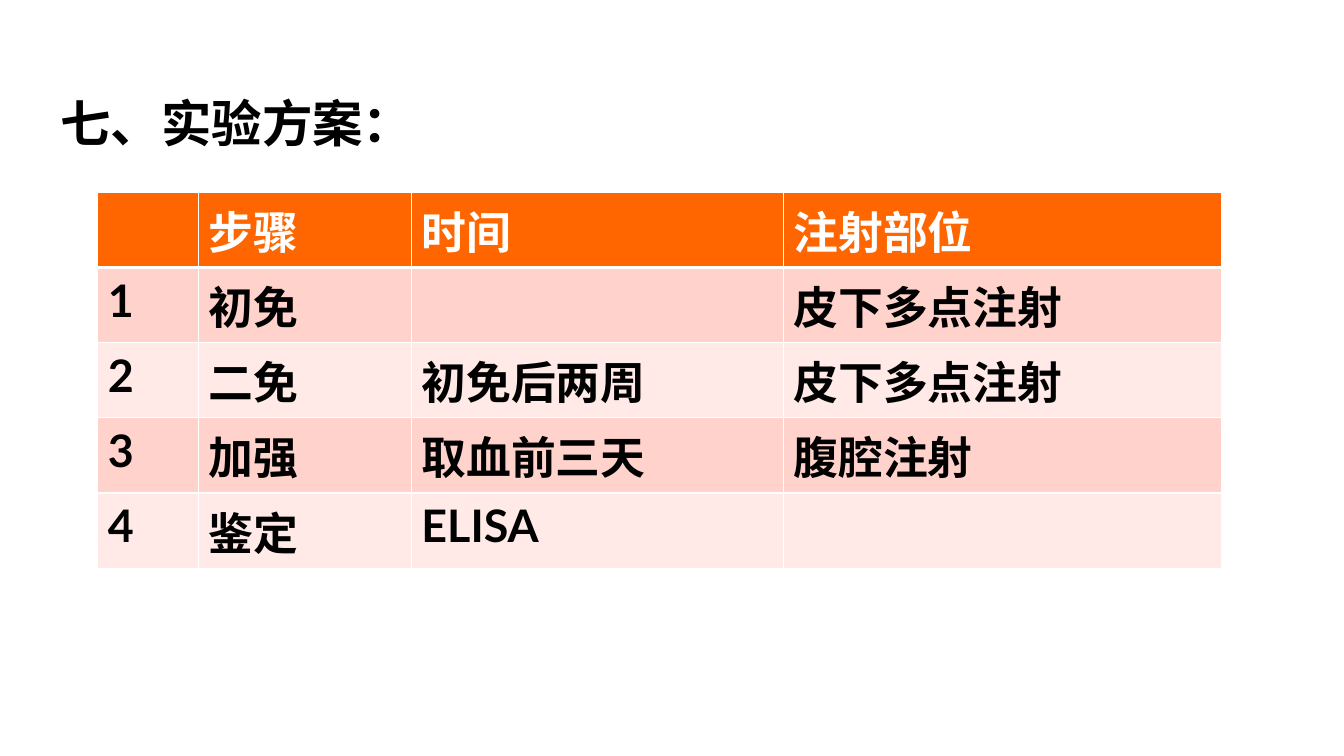
"""Build the experiment plan slide: a title above a table of immunisation steps."""
from lxml import etree
from pptx import Presentation
from pptx.dml.color import RGBColor
from pptx.enum.text import MSO_ANCHOR, PP_ALIGN
from pptx.oxml.ns import qn
from pptx.util import Inches, Pt

COLORS = {"header": "FF6600", "odd": "FFD3CC", "even": "FFEAE7",
          "text": "000000", "white": "FFFFFF"}
COLUMN_WIDTHS = [1, 2.11, 3.69, 4.35]
ROW_HEIGHT = 0.69
STEPS = [
    ["", "步骤", "时间", "注射部位"],
    ["1", "初免", "", "皮下多点注射"],
    ["2", "二免", "初免后两周", "皮下多点注射"],
    ["3", "加强", "取血前三天", "腹腔注射"],
    ["4", "鉴定", "ELISA", ""],
]


def write(frame, text, size, color):
    run = frame.paragraphs[0].add_run()
    run.text = text
    run.font.name = "Lato"
    run.font.size = Pt(size)
    run.font.bold = True
    run.font.color.rgb = RGBColor.from_string(COLORS[color])


def add_border(cell, position, side, width):
    line = etree.Element(qn(f"a:ln{side}"), w=str(Pt(width)))
    fill = etree.SubElement(line, qn("a:solidFill"))
    etree.SubElement(fill, qn("a:srgbClr"), val=COLORS["white"])
    cell._tc.get_or_add_tcPr().insert(position, line)


prs = Presentation()
prs.slide_width, prs.slide_height = Inches(13.33), Inches(7.5)
slide = prs.slides.add_slide(prs.slide_layouts[5])

title = slide.shapes.title
title.left, title.top = Inches(0.5), Inches(0.86)
title.width, title.height = Inches(12.08), Inches(0.71)
title.text_frame.word_wrap = True
title.text_frame.vertical_anchor = MSO_ANCHOR.TOP
title.text_frame.paragraphs[0].alignment = PP_ALIGN.LEFT
write(title.text_frame, "七、实验方案：", 36, "text")

table = slide.shapes.add_table(
    len(STEPS), len(COLUMN_WIDTHS), Inches(0.97), Inches(1.91),
    Inches(sum(COLUMN_WIDTHS)), Inches(ROW_HEIGHT * len(STEPS))).table
for column, width in zip(table.columns, COLUMN_WIDTHS):
    column.width = Inches(width)

for row, step in enumerate(STEPS):
    band = "header" if row == 0 else "odd" if row % 2 else "even"
    widths = {"L": 1, "R": 1, "T": 3 if row == 1 else 1, "B": 3 if row == 0 else 1}
    for col, text in enumerate(step):
        cell = table.cell(row, col)
        cell.fill.solid()
        cell.fill.fore_color.rgb = RGBColor.from_string(COLORS[band])
        for position, (side, width) in enumerate(widths.items()):
            add_border(cell, position, side, width)
        if text:
            write(cell.text_frame, text, 32, "text" if row else "white")

prs.save("out.pptx")
